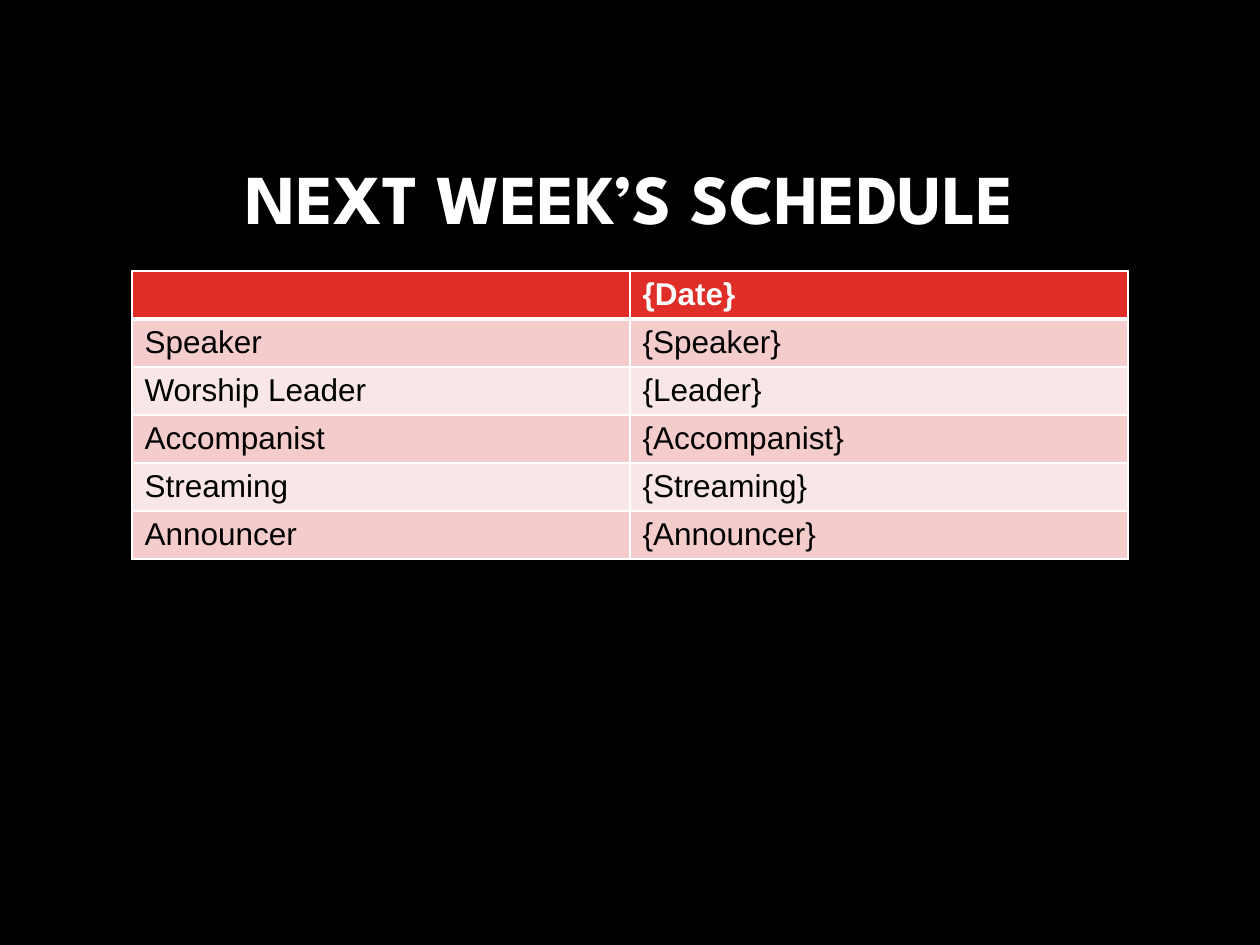
from lxml.etree import SubElement
from pptx import Presentation
from pptx.dml.color import RGBColor
from pptx.enum.text import MSO_ANCHOR, PP_ALIGN
from pptx.oxml.ns import qn
from pptx.util import Pt

PX = 914400 // 126
COLORS = {
    "background": "000000",
    "header": "DF2E28",
    "odd_row": "F3CCCB",
    "even_row": "F9E7E7",
    "border": "FFFFFF",
    "light_text": "FFFFFF",
    "dark_text": "000000",
}
SCHEDULE = [
    ("", "{Date}"),
    ("Speaker", "{Speaker}"),
    ("Worship Leader", "{Leader}"),
    ("Accompanist", "{Accompanist}"),
    ("Streaming", "{Streaming}"),
    ("Announcer", "{Announcer}"),
]


def color(name):
    return RGBColor.from_string(COLORS[name])


def format_font(font, color_name, **values):
    font.color.rgb = color(color_name)
    for name, value in values.items():
        setattr(font, name, value)


def fill_solid(fill, color_name):
    fill.solid()
    fill.fore_color.rgb = color(color_name)


def add_borders(cell, widths):
    """Draw the cell edges; widths maps L, R, T, B (in that order) to points."""
    properties = cell._tc.get_or_add_tcPr()
    for side, width in widths.items():
        line = SubElement(properties, qn(f"a:ln{side}"), w=str(Pt(width)))
        solid = SubElement(line, qn("a:solidFill"))
        SubElement(solid, qn("a:srgbClr"), val=COLORS["border"])


def place_title(slide, text, left, top, width, height):
    title = slide.shapes.title
    box = {"left": left, "top": top, "width": width, "height": height}
    for name, value in box.items():
        setattr(title, name, value * PX)
    frame = title.text_frame
    frame.text = text
    frame.word_wrap = True
    frame.vertical_anchor = MSO_ANCHOR.MIDDLE
    paragraph = frame.paragraphs[0]
    paragraph.alignment = PP_ALIGN.CENTER
    paragraph.line_spacing = 0.9
    format_font(paragraph.runs[0].font, "light_text",
                name="League Spartan", size=Pt(40), bold=True)


def add_schedule(slide, rows, left, top, width, row_height):
    box = (left, top, width, row_height * len(rows))
    table = slide.shapes.add_table(
        len(rows), len(rows[0]), *(value * PX for value in box)).table
    for row_index, texts in enumerate(rows):
        is_header = row_index == 0
        if is_header:
            fill_name = "header"
        else:
            fill_name = "odd_row" if row_index % 2 else "even_row"
        widths = {"L": 1, "R": 1, "T": 3 if row_index == 1 else 1,
                  "B": 3 if is_header else 1}
        for column_index, text in enumerate(texts):
            cell = table.cell(row_index, column_index)
            add_borders(cell, widths)
            fill_solid(cell.fill, fill_name)
            cell.text = text
            format_font(cell.text_frame.paragraphs[0].font,
                        "light_text" if is_header else "dark_text",
                        name="Arial", size=Pt(18), bold=is_header)
            for run in cell.text_frame.paragraphs[0].runs:
                format_font(run.font,
                            "light_text" if is_header else "dark_text",
                            name="Arial", size=Pt(18), bold=is_header)


def main():
    presentation = Presentation()
    presentation.slide_width = 1260 * PX
    presentation.slide_height = 945 * PX
    slide = presentation.slides.add_slide(presentation.slide_layouts[5])
    fill_solid(slide.background.fill, "background")
    place_title(slide, "NEXT WEEK’S SCHEDULE", 190, 113, 880, 178)
    add_schedule(slide, SCHEDULE, 132, 271, 996, 48)
    presentation.save("out.pptx")


if __name__ == "__main__":
    main()
